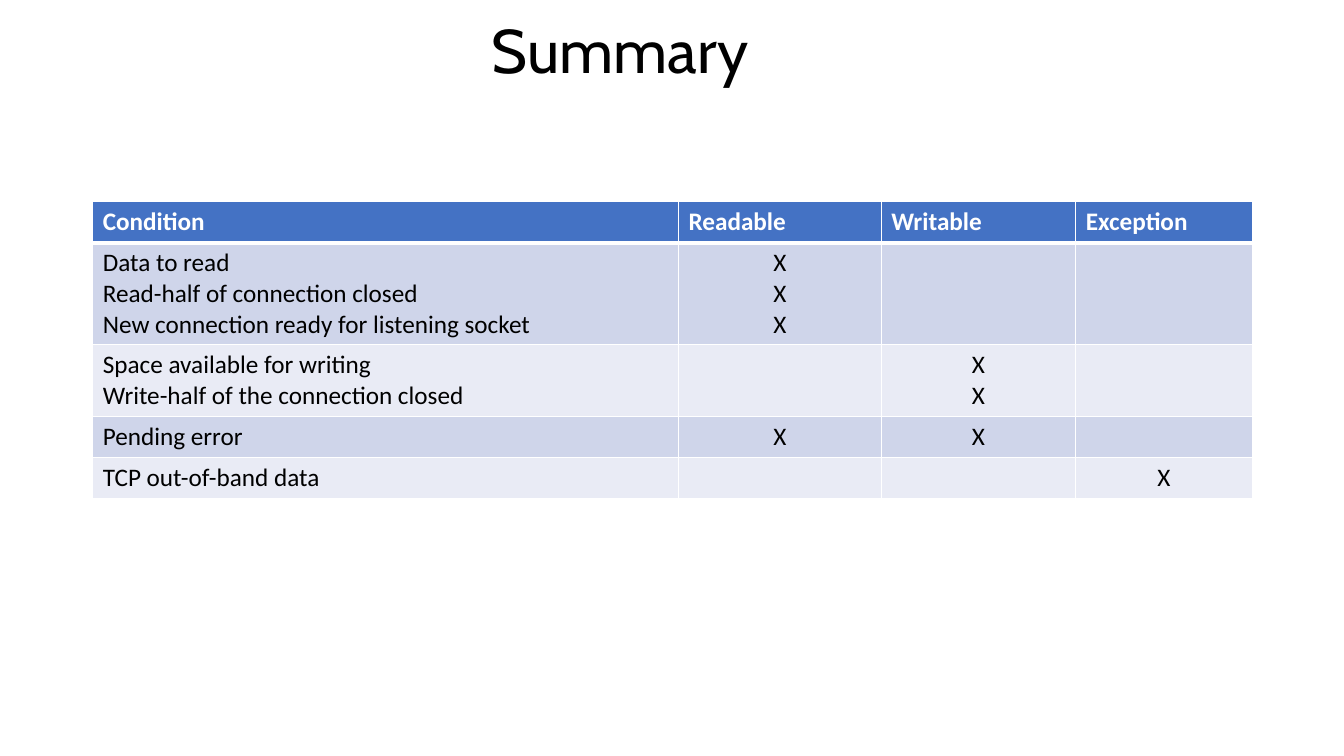
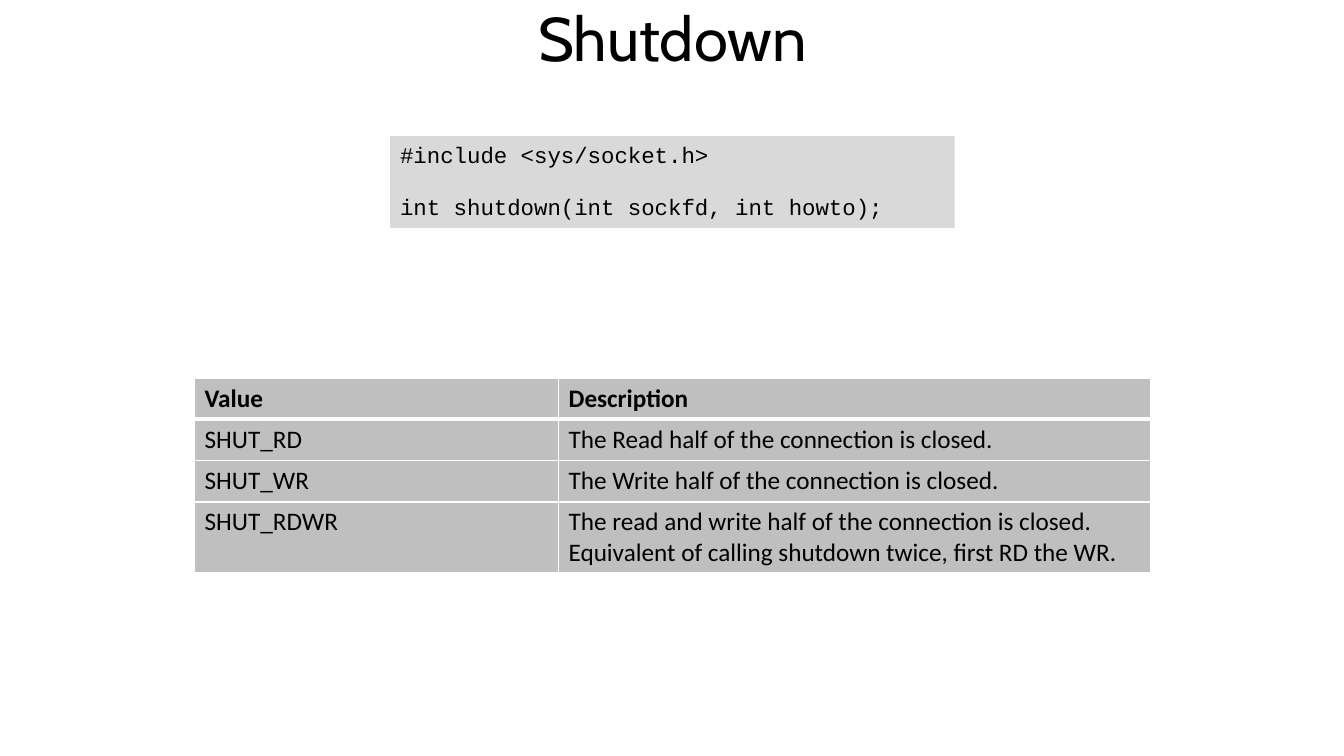
from lxml import etree
from pptx import Presentation
from pptx.dml.color import RGBColor
from pptx.enum.shapes import MSO_SHAPE
from pptx.enum.text import MSO_ANCHOR, PP_ALIGN
from pptx.oxml.ns import qn
from pptx.util import Inches, Pt

LEFT, CENTER = PP_ALIGN.LEFT, PP_ALIGN.CENTER
TOP, MIDDLE = MSO_ANCHOR.TOP, MSO_ANCHOR.MIDDLE
RECTANGLE = MSO_SHAPE.RECTANGLE

BLACK = RGBColor(0x00, 0x00, 0x00)
WHITE = RGBColor(0xFF, 0xFF, 0xFF)
BLUE = RGBColor(0x44, 0x72, 0xC4)
BLUE_BAND = RGBColor(0xCF, 0xD5, 0xEA)
PALE_BAND = RGBColor(0xE9, 0xEB, 0xF5)
GREY = RGBColor(0xBF, 0xBF, 0xBF)
CODE_GREY = RGBColor(0xD9, 0xD9, 0xD9)

TITLE_FONT, BODY_FONT, CODE_FONT = "Cabin", "Calibri", "Courier New"
ROW_HEIGHT, EXTRA_LINE = 0.41, 0.3


def write(frame, text, font=BODY_FONT, size=18, color=BLACK, bold=False,
          align=LEFT, anchor=TOP, line_spacing=1.0, gap=0):
    """Fill a text frame with one paragraph per line of text."""
    frame.word_wrap = True
    frame.vertical_anchor = anchor
    for i, line in enumerate(text.split("\n")):
        paragraph = frame.add_paragraph() if i else frame.paragraphs[0]
        paragraph.alignment = align
        paragraph.line_spacing = line_spacing
        paragraph.space_before = Pt(gap if i else 0)
        paragraph.font.size = Pt(size)
        if line:
            run = paragraph.add_run()
            run.text = line
            run.font.name = font
            run.font.size = Pt(size)
            run.font.bold = bold
            run.font.color.rgb = color


def set_borders(cell, top, bottom):
    """Give a cell white borders; top and bottom are widths in points."""
    properties = cell._tc.get_or_add_tcPr()
    widths = {"a:lnL": 1, "a:lnR": 1, "a:lnT": top, "a:lnB": bottom}
    for i, (side, width) in enumerate(widths.items()):
        border = etree.Element(qn(side), w=str(Pt(width)))
        fill = etree.SubElement(border, qn("a:solidFill"))
        etree.SubElement(fill, qn("a:srgbClr"), val=str(WHITE))
        properties.insert(i, border)


class Deck:
    def __init__(self):
        self.presentation = Presentation()
        self.presentation.slide_width = Inches(13.33)
        self.presentation.slide_height = Inches(7.5)
        self.slide = None

    def add_slide(self):
        blank = self.presentation.slide_layouts[6]
        self.slide = self.presentation.slides.add_slide(blank)

    def title(self, text, left, width, height):
        box = self.slide.shapes.add_textbox(
            Inches(left), 0, Inches(width), Inches(height))
        write(box.text_frame, text, font=TITLE_FONT, size=44, align=CENTER,
              anchor=MIDDLE, line_spacing=0.9)

    def code(self, text, left, top, width, height):
        panel = self.slide.shapes.add_shape(
            RECTANGLE, Inches(left), Inches(top), Inches(width), Inches(height))
        panel.shadow.inherit = False
        panel.fill.solid()
        panel.fill.fore_color.rgb = CODE_GREY
        panel.line.fill.background()
        write(panel.text_frame, text, font=CODE_FONT, size=16, gap=18)

    def table(self, rows, left, top, columns, header_fill, header_color,
              bands, mark=None):
        """Draw a header row and banded rows; cells of marks are centred."""
        heights = [ROW_HEIGHT + EXTRA_LINE * max(t.count("\n") for t in row)
                   for row in rows]
        table = self.slide.shapes.add_table(
            len(rows), len(columns), Inches(left), Inches(top),
            Inches(sum(columns)), Inches(sum(heights))).table
        for column, width in zip(table.columns, columns):
            column.width = Inches(width)
        for r, texts in enumerate(rows):
            table.rows[r].height = Inches(heights[r])
            header = r == 0
            for c, text in enumerate(texts):
                cell = table.cell(r, c)
                cell.fill.solid()
                cell.fill.fore_color.rgb = (
                    header_fill if header else bands[(r - 1) % len(bands)])
                set_borders(cell, top=3 if r == 1 else 1,
                            bottom=3 if header else 1)
                marked = mark is not None and text.startswith(mark)
                write(cell.text_frame, text, bold=header,
                      color=header_color if header else BLACK,
                      align=CENTER if marked else LEFT)


def main():
    deck = Deck()

    # Summary of socket conditions
    deck.add_slide()
    deck.title("Summary", 1.25, 9.8, 1.07)
    conditions = [
        ("Condition", "Readable", "Writable", "Exception"),
        ("Data to read\nRead-half of connection closed\n"
         "New connection ready for listening socket", "X\nX\nX", "", ""),
        ("Space available for writing\nWrite-half of the connection closed",
         "", "X\nX", ""),
        ("Pending error", "X", "X", ""),
        ("TCP out-of-band data", "", "", "X"),
    ]
    deck.table(conditions, 0.92, 2, (5.81, 2.01, 1.93, 1.75), BLUE, WHITE,
               (BLUE_BAND, PALE_BAND), mark="X")

    # Shutdown call and its values
    deck.add_slide()
    deck.title("Shutdown", 0.92, 11.5, 0.82)
    deck.code("#include <sys/socket.h>\nint shutdown(int sockfd, int howto);",
              3.87, 1.35, 5.6, 0.91)
    shutdown_values = [
        ("Value", "Description"),
        ("SHUT_RD", "The Read half of the connection is closed."),
        ("SHUT_WR", "The Write half of the connection is closed."),
        ("SHUT_RDWR", "The read and write half of the connection is closed. "
                      "Equivalent of calling shutdown twice, first RD the WR."),
    ]
    deck.table(shutdown_values, 1.93, 3.75, (3.61, 5.87), GREY, BLACK, (GREY,))

    deck.presentation.save("out.pptx")


if __name__ == "__main__":
    main()
